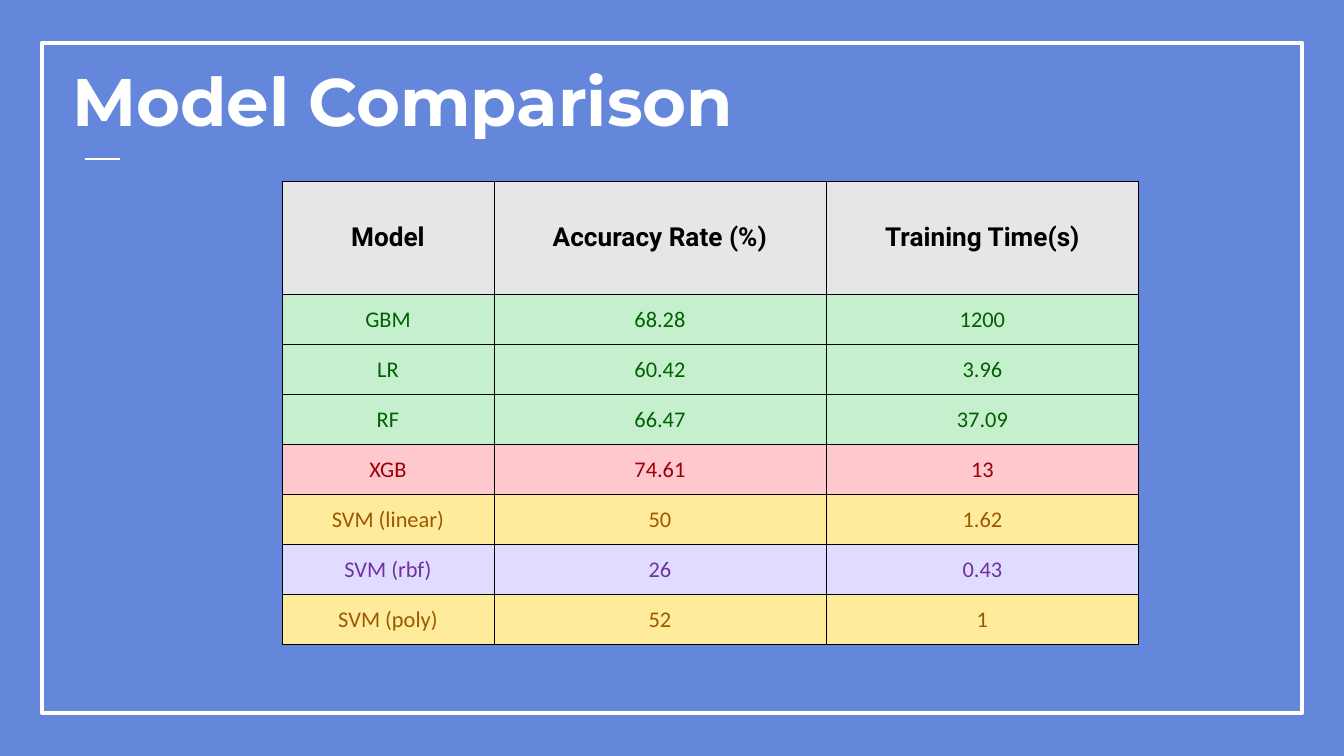
import pptx
import pptx.util
import pptx.dml.color
import pptx.enum.shapes
import pptx.enum.text
import pptx.oxml
import pptx.oxml.ns
from lxml import etree

SCALE = 914400 / 134.4  # EMU in one px
WHITE = "FFFFFF"
BLACK = "000000"
GREEN = ("C6EFCE", "006100")
RED = ("FFC7CE", "9C0006")
AMBER = ("FFEB9C", "9C5700")
VIOLET = ("E0DCFF", "7030A0")

HEAD = ("Model", "Accuracy Rate (%)", "Training Time(s)")
ROWS = [
    (("GBM", "68.28", "1200"), GREEN),
    (("LR", "60.42", "3.96"), GREEN),
    (("RF", "66.47", "37.09"), GREEN),
    (("XGB", "74.61", "13"), RED),
    (("SVM (linear)", "50", "1.62"), AMBER),
    (("SVM (rbf)", "26", "0.43"), VIOLET),
    (("SVM (poly)", "52", "1"), AMBER),
]


def px(num):
    return pptx.util.Emu(round(num * SCALE))


def paint(form, tone):
    """Give a fill or a font a solid colour."""
    if hasattr(form, "solid"):
        form.solid()
        form.fore_color.rgb = pptx.dml.color.RGBColor.from_string(tone)
    else:
        form.color.rgb = pptx.dml.color.RGBColor.from_string(tone)


def style(para, face, size, tone, bold):
    font = para.runs[0].font
    font.name = face
    font.size = pptx.util.Pt(size)
    font.bold = bold
    paint(font, tone)


def border(cell, tone, width):
    """Line all four sides, ahead of the cell's fill."""
    props = cell._tc.get_or_add_tcPr()
    for spot, side in enumerate(("lnL", "lnR", "lnT", "lnB")):
        line = pptx.oxml.parse_xml(
            f'<a:{side} {pptx.oxml.ns.nsdecls("a")} w="{pptx.util.Pt(width)}">'
            f'<a:solidFill><a:srgbClr val="{tone}"/></a:solidFill></a:{side}>')
        props.insert(spot, line)


def add_frame(slide, left, top, width, height):
    rect = pptx.enum.shapes.MSO_SHAPE.RECTANGLE
    frame = slide.shapes.add_shape(rect, px(left), px(top), px(width), px(height))
    frame.shadow.inherit = False
    frame.fill.background()
    paint(frame.line.fill, WHITE)
    frame.line.width = pptx.util.Pt(2.25)


def add_title(slide, left, top, width, height, text):
    # Heading
    box = slide.shapes.add_textbox(px(left), px(top), px(width), px(height))
    body = box.text_frame
    body.word_wrap = True
    body.vertical_anchor = pptx.enum.text.MSO_ANCHOR.TOP
    body.margin_left = body.margin_right = pptx.util.Inches(0.1)
    body.margin_top = body.margin_bottom = pptx.util.Inches(0.1)
    body.text = text
    style(body.paragraphs[0], "Montserrat", 36, WHITE, True)

    # Short rule under the heading
    start, level = left + 26, top + 113
    rule = slide.shapes.add_connector(
        pptx.enum.shapes.MSO_CONNECTOR.STRAIGHT,
        px(start), px(level), px(start + 35), px(level))
    paint(rule.line.fill, WHITE)
    rule.line.width = pptx.util.Pt(0.75)
    etree.SubElement(rule._element.spPr, pptx.oxml.ns.qn("a:effectLst"))


def fill_cell(cell, text, back, face, size, tone, bold):
    cell.margin_left = cell.margin_right = cell.margin_top = px(1)
    cell.margin_bottom = 0
    cell.vertical_anchor = pptx.enum.text.MSO_ANCHOR.MIDDLE
    paint(cell.fill, back)
    border(cell, BLACK, 0.5)
    para = cell.text_frame.paragraphs[0]
    para.text = text
    para.alignment = pptx.enum.text.PP_ALIGN.CENTER
    style(para, face, size, tone, bold)


def add_grid(slide, left, top, width, height):
    shape = slide.shapes.add_table(
        len(ROWS) + 1, len(HEAD), px(left), px(top), px(width), px(height))
    table = shape.table

    # Widths, and a tall head over equal rows
    first, second = 212, 332
    sizes = (first, second, width - first - second)
    for col, size in zip(table.columns, sizes):
        col.width = px(size)
    head = 113
    for num, row in enumerate(table.rows):
        row.height = px((height - head) / len(ROWS) if num else head)

    # Words and values
    for col, text in enumerate(HEAD):
        fill_cell(table.cell(0, col), text, "E7E6E6", "Roboto", 14, BLACK, True)
    for num, (texts, (back, tone)) in enumerate(ROWS, 1):
        for col, text in enumerate(texts):
            fill_cell(table.cell(num, col), text, back, "Calibri", 12, tone, False)


def main():
    deck = pptx.Presentation()
    deck.slide_width, deck.slide_height = px(1344), px(756)
    slide = deck.slides.add_slide(deck.slide_layouts[6])
    paint(slide.background.fill, "6486DB")
    add_frame(slide, 42, 43, 1260, 670)
    add_title(slide, 59, 46, 784, 156, "Model Comparison")
    add_grid(slide, 282, 181, 857, 464)
    deck.save("out.pptx")


if __name__ == "__main__":
    main()
